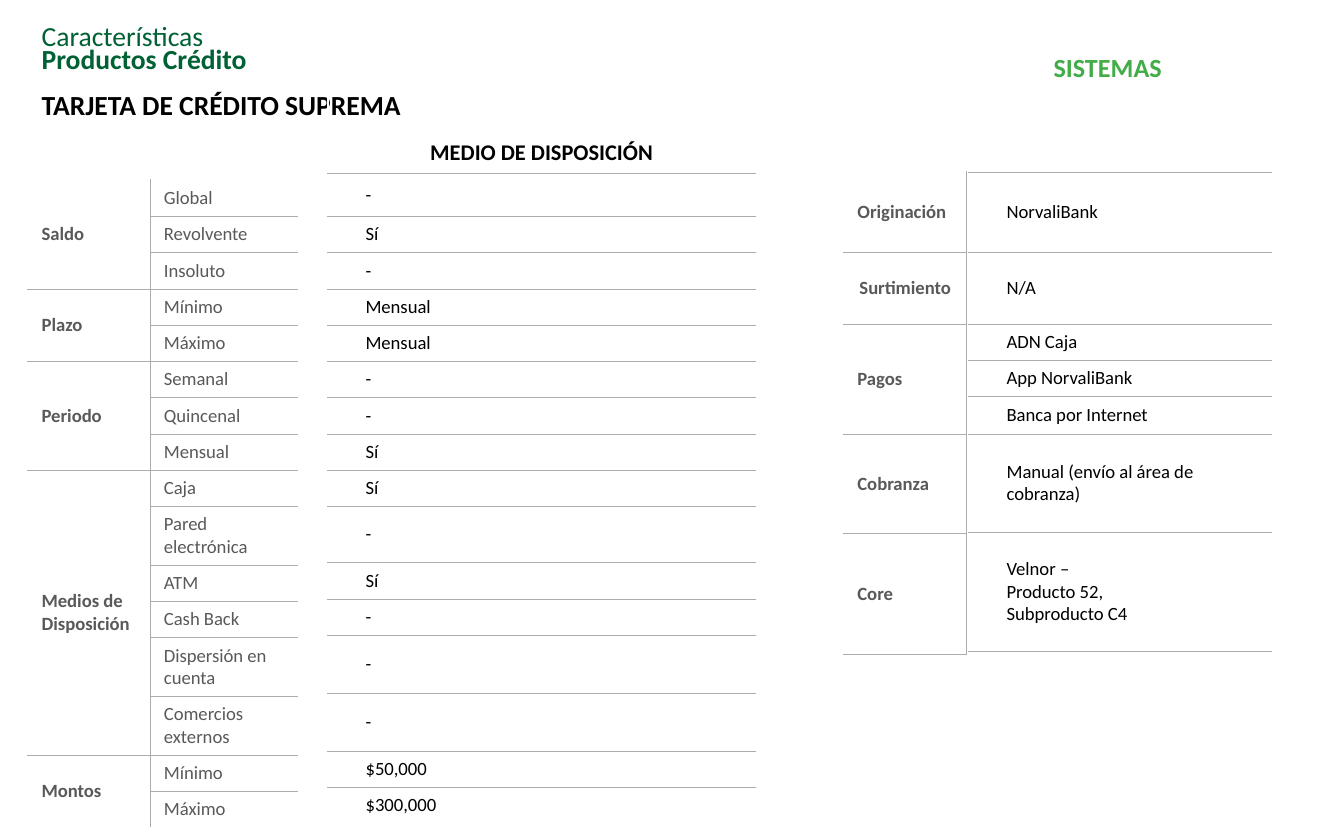
from lxml import etree
from pptx import Presentation
from pptx.dml.color import RGBColor
from pptx.enum.text import MSO_ANCHOR, MSO_AUTO_SIZE, PP_ALIGN
from pptx.oxml.ns import qn
from pptx.util import Inches, Pt

MIDDLE, BOTTOM = MSO_ANCHOR.MIDDLE, MSO_ANCHOR.BOTTOM
LEFT, CENTER = PP_ALIGN.LEFT, PP_ALIGN.CENTER
NO_FIT = MSO_AUTO_SIZE.NONE

GRAY, WHITE, BLACK = "595959", "FFFFFF", "000000"
RULE, DARK, LIME = "AFABAB", "006135", "42AC47"

LINE = 0.27  # height of a one-line row
HEAD = 0.96  # height of a header row
INSET = 0.28

GROUPS = [
    ("Saldo", ["Global", "Revolvente", "Insoluto"]),
    ("Plazo", ["Mínimo", "Máximo"]),
    ("Periodo", ["Semanal", "Quincenal", "Mensual"]),
    ("Medios de Disposición", ["Caja", "Pared electrónica", "ATM", "Cash Back",
                               "Dispersión en cuenta", "Comercios externos"]),
    ("Montos", ["Mínimo", "Máximo"]),
]
TALL = {"Pared electrónica", "Dispersión en cuenta", "Comercios externos"}
VALUES = ["-", "Sí", "-", "Mensual", "Mensual", "-", "-", "Sí", "Sí", "-",
          "Sí", "-", "-", "-", "$50,000", "$300,000"]
STAGES = [("Originación", 0.6), ("Surtimiento", 0.53), ("Pagos", 0.82),
          ("Cobranza", 0.74), ("Core", 0.9)]
SYSTEMS = [("", HEAD), ("NorvaliBank", 0.6), ("N/A", 0.53),
           ("ADN Caja", LINE), ("App NorvaliBank", LINE),
           ("Banca por Internet", 0.28),
           ("Manual (envío al área de cobranza)", 0.73),
           ("Velnor –\nProducto 52,\nSubproducto C4", 0.89)]


def rgb(color):
    return RGBColor.from_string(color)


def style(par, color=BLACK, align=LEFT, **form):
    par.alignment = align
    form = {"name": "Calibri", "size": 10, "bold": False} | form
    form["size"] = Pt(form["size"])
    for key, val in form.items():
        setattr(par.font, key, val)
    par.font.color.rgb = rgb(color)


def edge(cell, sides):
    """Rule the named sides (of L, R, T, B) in gray and the others in white."""
    props = cell._tc.get_or_add_tcPr()
    for side in "LRTB":
        drawn = side in sides
        line = etree.SubElement(props, qn("a:ln" + side),
                                w=str(Pt(0.25 if drawn else 1)))
        fill = etree.SubElement(line, qn("a:solidFill"))
        etree.SubElement(fill, qn("a:srgbClr"), val=RULE if drawn else WHITE)
    cell.fill.background()


def write(cell, text, inset=0.1, anchor=MIDDLE, **form):
    cell.text = text
    cell.margin_left = Inches(inset)
    cell.vertical_anchor = anchor
    for par in cell.text_frame.paragraphs:
        style(par, **form)


def grid(slide, left, top, cols, rows):
    size = [Inches(n) for n in (left, top, sum(cols), sum(rows))]
    table = slide.shapes.add_table(len(rows), len(cols), *size).table
    table.first_row = table.horz_banding = False
    for col, wide in zip(table.columns, cols):
        col.width = Inches(wide)
    for row, high in zip(table.rows, rows):
        row.height = Inches(high)
    return table


def ends(first, last, count, closed=False):
    """Sides ruled above and below a run of rows in a table of count rows."""
    return ("T" if first else "") + ("B" if closed or last < count - 1 else "")


def column(slide, left, top, wide, items, side="", closed=False, **form):
    """Add a one-column table of (text, height) items."""
    table = grid(slide, left, top, [wide], [high for _, high in items])
    for num, (text, _) in enumerate(items):
        cell = table.cell(num, 0)
        edge(cell, side + ends(num, num, len(items), closed))
        write(cell, text, **form)
    return table


def traits(slide):
    """Add the table of grouped product traits."""
    names = [name for _, group in GROUPS for name in group]
    rows = [0.435 if name in TALL else LINE for name in names]
    table = grid(slide, 0.21, 1.34, [0.91, 1.09], rows)
    for num, name in enumerate(names):
        edge(table.cell(num, 1), "L" + ends(num, num, len(names)))
        write(table.cell(num, 1), name, color=GRAY)
    first = 0
    for label, group in GROUPS:
        last = first + len(group) - 1
        for num in range(first, last + 1):
            edge(table.cell(num, 0), "R" + ends(first, last, len(names)))
        head = table.cell(first, 0)
        head.merge(table.cell(last, 0))
        write(head, label, color=GRAY, bold=True)
        first = last + 1


def heading(slide):
    title = slide.shapes.title
    title.left, title.top, title.width, title.height = map(
        Inches, (0.21, 0.13, 8, 0.84))
    frame = title.text_frame
    frame.text = "Características\nProductos Crédito\nTARJETA DE CRÉDITO SUPREMA"
    frame.auto_size, frame.vertical_anchor = NO_FIT, MIDDLE
    for par, color, bold in zip(frame.paragraphs, (DARK, DARK, BLACK),
                                (False, True, True)):
        style(par, color, size=14.8, bold=bold)
        par.line_spacing = 0.7
        par.space_before = Pt(0)
    par.space_before = Pt(12.5)


def caption(slide, text, left, top, wide, high):
    box = slide.shapes.add_textbox(*map(Inches, (left, top, wide, high)))
    box.text_frame.word_wrap = False
    box.text_frame.text = text
    style(box.text_frame.paragraphs[0], LIME, size=14, bold=True)


def main():
    deck = Presentation()
    deck.slide_width, deck.slide_height = Inches(10), Inches(6.25)
    slide = deck.slides.add_slide(deck.slide_layouts[5])
    heading(slide)

    highs = [0.32] + [LINE] * 8 + [0.42] + [LINE] * 2 + [0.43] * 2 + [LINE] * 2
    items = [("MEDIO DE DISPOSICIÓN", HEAD), *zip(VALUES, highs)]
    media = column(slide, 2.44, 0.33, 3.18, items, inset=INSET)
    write(media.cell(0, 0), items[0][0], anchor=BOTTOM, align=CENTER,
          size=12, bold=True)
    traits(slide)

    caption(slide, "SISTEMAS", 7.74, 0.33, 1.02, 0.34)
    stages = column(slide, 6.28, 1.28, 0.91, STAGES, "R", True,
                    color=GRAY, bold=True)
    stages.cell(1, 0).text_frame.paragraphs[0].alignment = CENTER
    column(slide, 7.21, 0.32, 2.25, SYSTEMS, closed=True, inset=INSET)
    deck.save("out.pptx")


if __name__ == "__main__":
    main()
